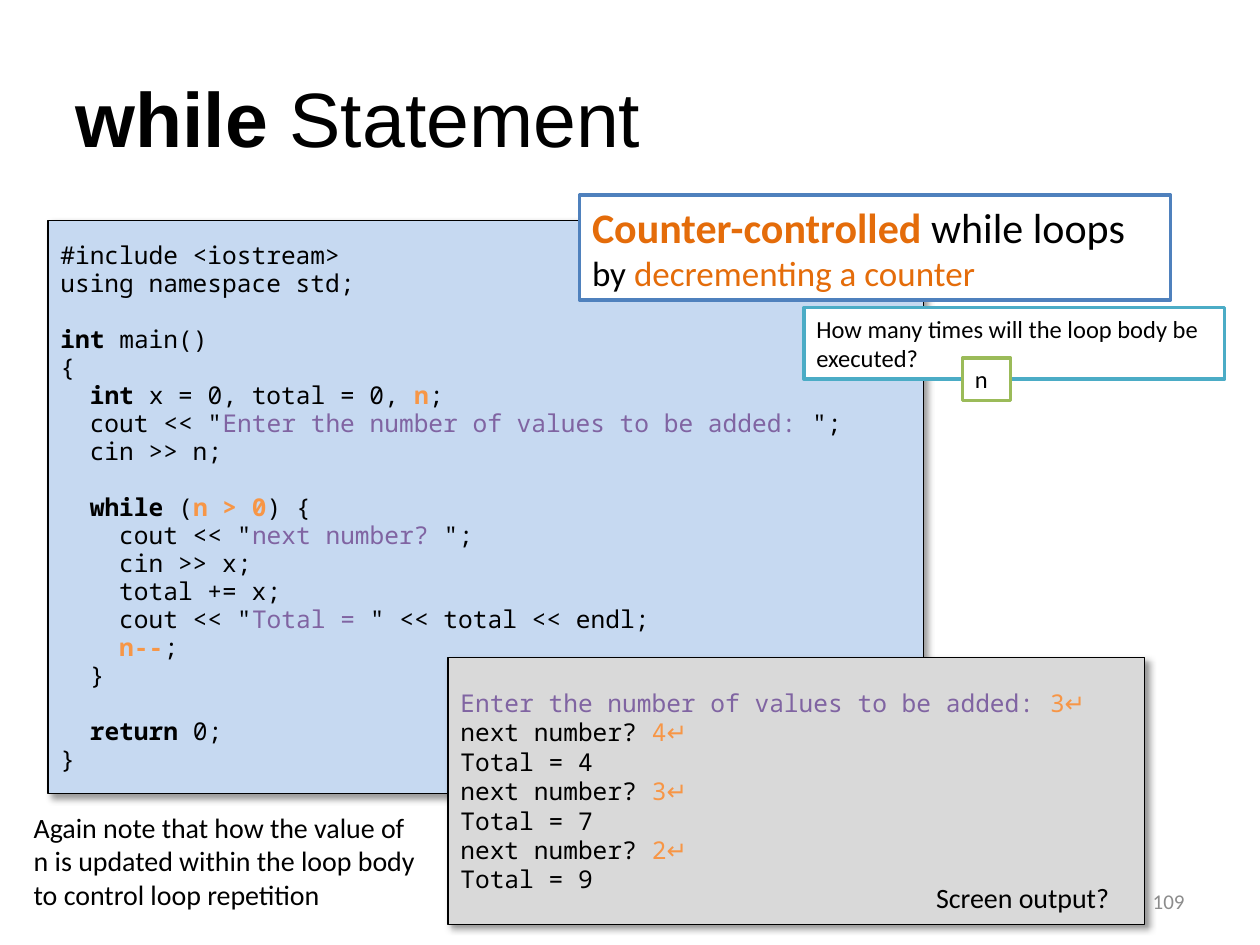
from pptx import Presentation
from pptx.dml.color import RGBColor
from pptx.enum import shapes, text
from pptx.oxml import parse_xml
from pptx.oxml.ns import nsdecls, qn
from pptx.util import Pt

BLACK = RGBColor(0x00, 0x00, 0x00)
WHITE = RGBColor(0xFF, 0xFF, 0xFF)
GREY = RGBColor(0x8C, 0x8C, 0x8C)
CODE_FILL = RGBColor(0xC6, 0xD9, 0xF1)
SCREEN_FILL = RGBColor(0xD9, 0xD9, 0xD9)
ORANGE = RGBColor(0xF7, 0x96, 0x46)
DARK_ORANGE = RGBColor(0xE4, 0x6C, 0x0A)
PURPLE = RGBColor(0x80, 0x64, 0xA2)
BLUE = RGBColor(0x4F, 0x81, 0xBD)
TEAL = RGBColor(0x4B, 0xAC, 0xC6)
GREEN = RGBColor(0x9B, 0xBB, 0x59)

MONO = "Noto Sans Mono"
BODY = "Calibri"

# Run styles
BOLD = {"bold": True}
COUNTER = {"bold": True, "color": ORANGE}
PROMPT = {"color": PURPLE}
TYPED = {"color": ORANGE}

# A line is a list of runs; a run is plain text or (text, style).
# Each block of code is set off from the one before by one line.
CODE_BLOCKS = [
    [["#include <iostream>"],
     ["using namespace std;"]],
    [[("int", BOLD), " main()"],
     ["{"],
     ["  ", ("int", BOLD), " x = 0, total = 0, ", ("n", COUNTER), ";"],
     ['  cout << "', ("Enter the number of values to be added: ", PROMPT), '";'],
     ["  cin >> n;"]],
    [["  ", ("while", BOLD), " (", ("n > 0", COUNTER), ") {"],
     ['    cout << "', ("next number?", PROMPT), ' ";'],
     ["    cin >> x;"],
     ["    total += x;"],
     ['    cout << "', ("Total = ", PROMPT), '" << total << endl;'],
     [("    n--", COUNTER), ";"],
     ["  }"]],
    [["  ", ("return", BOLD), " 0;"],
     ["}"]],
]
ROUNDS = [(4, 4), (3, 7), (2, 9)]  # number typed, running total

SCREEN = [[("Enter the number of values to be added: ", PROMPT), ("3↵", TYPED)]]
for number, total in ROUNDS:
    SCREEN += [["next number? ", (f"{number}↵", TYPED)], [f"Total = {total}"]]

TITLE = [[("while", BOLD), " Statement"]]
HEADLINE = [[("Counter-controlled", {"bold": True, "color": DARK_ORANGE}),
             " while loops", "\n", ("by ", {"size": 20}),
             ("decrementing a counter", {"size": 20, "color": DARK_ORANGE})]]
NOTE = ("Again note that how the value of n is updated within the loop body "
        "to control loop repetition")


def write(sp, lines, font=BODY, size=14, color=BLACK, align=text.PP_ALIGN.LEFT,
          anchor=text.MSO_ANCHOR.TOP, wrap=True, spacing=None, gaps=()):
    """Fill sp with lines; those whose index is in gaps get one line of space before."""
    tf = sp.text_frame
    tf.word_wrap = wrap
    tf.vertical_anchor = anchor
    for i, line in enumerate(lines):
        p = tf.add_paragraph() if i else tf.paragraphs[0]
        p.alignment = align
        if spacing:
            p.line_spacing = Pt(spacing)
        if i in gaps:
            p.space_before = Pt(spacing)
        for run in line:
            if run == "\n":
                p.add_line_break()
                continue
            words, style = (run, {}) if isinstance(run, str) else run
            r = p.add_run()
            r.text = words
            r.font.name = font
            r.font.size = Pt(style.get("size", size))
            r.font.bold = style.get("bold", False)
            r.font.color.rgb = style.get("color", color)


def add_text(s, at, lines, **fmt):
    write(s.shapes.add_textbox(*map(Pt, at)), lines, **fmt)


def add_panel(s, at, lines, fill=WHITE, line=BLACK, weight=2, shadow=False, **fmt):
    sp = s.shapes.add_shape(shapes.MSO_SHAPE.RECTANGLE, *map(Pt, at))
    sp.shadow.inherit = False
    sp.fill.solid()
    sp.fill.fore_color.rgb = fill
    sp.line.color.rgb = line
    sp.line.width = Pt(weight)
    if shadow:
        sp._element.spPr.find(qn("a:effectLst")).append(parse_xml(
            f'<a:outerShdw {nsdecls("a")} blurRad="{Pt(4)}" dist="{Pt(3)}" '
            'dir="2700000" algn="tl" rotWithShape="0"><a:srgbClr val="000000">'
            '<a:alpha val="40000"/></a:srgbClr></a:outerShdw>'))
    write(sp, lines, **fmt)


def main():
    prs = Presentation()
    prs.slide_width, prs.slide_height = Pt(720), Pt(540)
    s = prs.slides.add_slide(prs.slide_layouts[5])

    title = s.shapes.title
    title.left, title.top, title.width, title.height = map(Pt, (36, 21.6, 648, 90))
    write(title, TITLE, font="Arial", size=44, anchor=text.MSO_ANCHOR.MIDDLE)

    code, gaps = [], []
    for block in CODE_BLOCKS:
        if code:
            gaps.append(len(code))
        code += block

    listing = dict(weight=0.75, shadow=True, font=MONO, anchor=text.MSO_ANCHOR.MIDDLE)
    add_panel(s, (27.4, 126, 500.4, 327.6), code, fill=CODE_FILL,
              spacing=16, gaps=gaps, **listing)
    add_panel(s, (256, 375.6, 398.2, 152.8), SCREEN, fill=SCREEN_FILL, **listing)
    add_text(s, (527.8, 499.7, 113.8, 26.6), [["Screen output?"]], size=16, wrap=False)
    add_text(s, (516, 500.5, 168, 28.8), [["109"]], size=12, color=GREY,
             align=text.PP_ALIGN.RIGHT, anchor=text.MSO_ANCHOR.MIDDLE)
    add_panel(s, (331.2, 111.6, 337.7, 59.8), HEADLINE, line=BLUE, size=24)
    add_text(s, (12.2, 459.4, 232.6, 65.5), [[NOTE]], size=16)
    add_panel(s, (459.4, 175.7, 240.5, 41), line=TEAL,
              lines=[["How many times will the loop body be executed?"]])
    add_panel(s, (550, 204.5, 27.4, 24.5), [["n"]], line=GREEN)

    prs.save("out.pptx")


if __name__ == "__main__":
    main()
